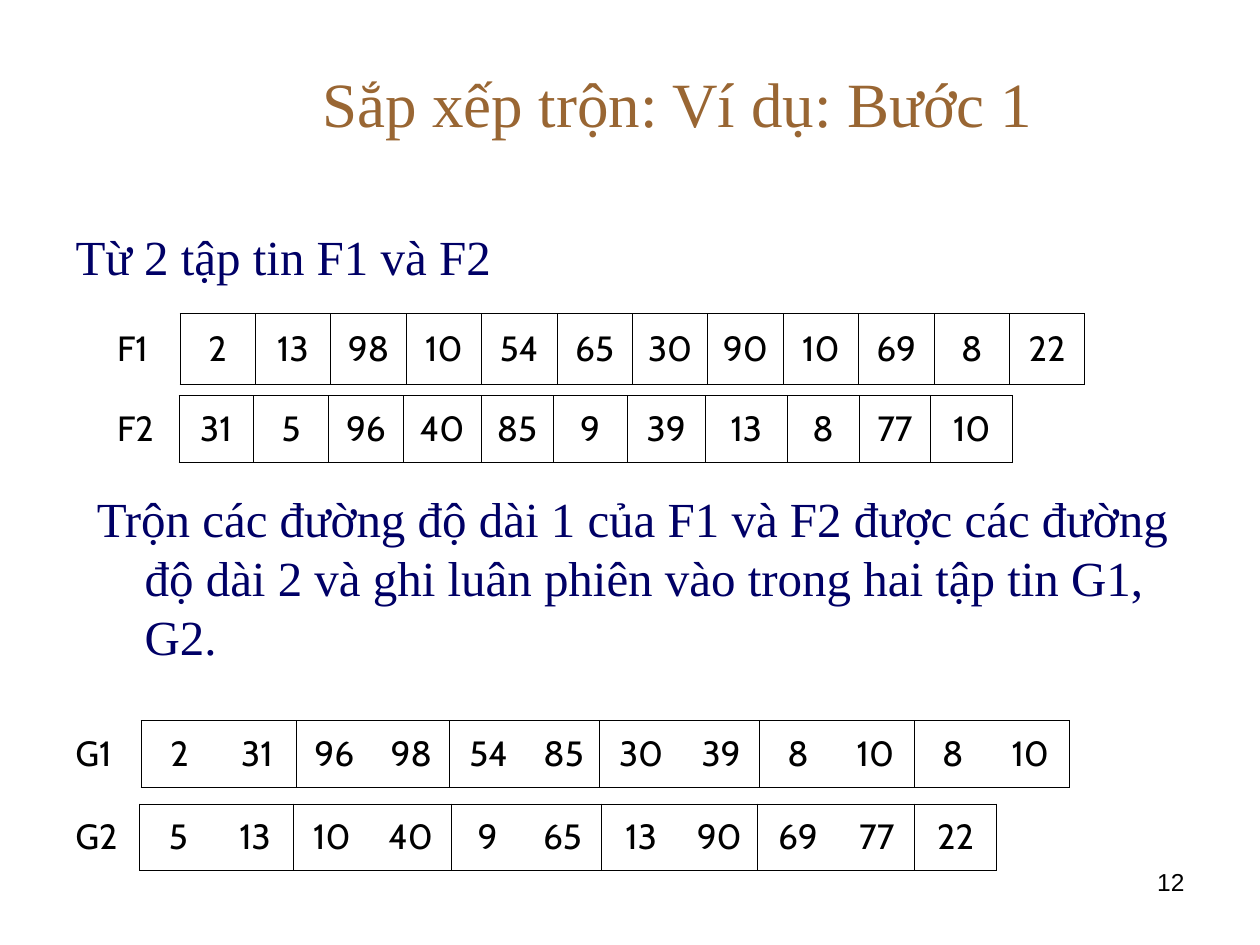
"""Build the slide showing step 1 of the merge sort example."""
from pptx import Presentation
from pptx.dml.color import RGBColor
from pptx.enum import text
from pptx.oxml import ns, xmlchemy
from pptx.util import Inches, Pt


def colour(value):
    return RGBColor.from_string(value)


class SlideBuilder:
    serif, label_font, number_font = "Times New Roman", "Cabin", "Arial"
    brown, navy, black = "996633", "000066", "000000"
    border = 0.45

    def __init__(self, deck):
        self.slide = deck.slides.add_slide(deck.slide_layouts[1])

    def set_text(self, paragraph, words, font, size, tint, align):
        paragraph.text = words
        paragraph.alignment = align
        paragraph.space_before = Pt(0)
        paragraph.font.name = font
        paragraph.font.size = Pt(size)
        paragraph.font.color.rgb = colour(tint)

    def place(self, box, left, top, width, height):
        box.left, box.top = Inches(left), Inches(top)
        box.width, box.height = Inches(width), Inches(height)
        frame = box.text_frame
        frame.word_wrap = True
        frame.auto_size = text.MSO_AUTO_SIZE.NONE
        return frame

    def text_box(self, *place):
        box = self.slide.shapes.add_textbox(0, 0, 0, 0)
        return self.place(box, *place)

    def title(self, words, *place):
        frame = self.place(self.slide.shapes.title, *place)
        frame.vertical_anchor = text.MSO_ANCHOR.MIDDLE
        self.set_text(frame.paragraphs[0], words, self.serif, 36, self.brown,
                      text.PP_ALIGN.CENTER)

    def statement(self, frame, words):
        paragraph = frame.paragraphs[0]
        properties = paragraph._p.get_or_add_pPr()
        properties.set("marL", str(Inches(0.38)))
        properties.set("indent", str(Inches(-0.38)))
        properties.append(xmlchemy.OxmlElement("a:buNone"))
        self.set_text(paragraph, words, self.serif, 28, self.navy,
                      text.PP_ALIGN.LEFT)

    def body(self, words, *place):
        self.statement(self.place(self.slide.placeholders[1], *place), words)

    def note(self, words, *place):
        self.statement(self.text_box(*place), words)

    def page_number(self, words, *place):
        paragraph = self.text_box(*place).paragraphs[0]
        self.set_text(paragraph, words, self.number_font, 14, self.black,
                      text.PP_ALIGN.RIGHT)

    def cell(self, cell, words, align, sides):
        cell.vertical_anchor = text.MSO_ANCHOR.MIDDLE
        self.set_text(cell.text_frame.paragraphs[0], words, self.label_font,
                      20, self.black, align)
        properties = cell._tc.get_or_add_tcPr()
        for side in "LRTB":
            line = xmlchemy.OxmlElement(f"a:ln{side}")
            properties.append(line)
            if side in sides:
                line.set("w", str(Pt(self.border)))
                fill = xmlchemy.OxmlElement("a:solidFill")
                tint = xmlchemy.OxmlElement("a:srgbClr")
                tint.set("val", self.black)
                fill.append(tint)
                line.append(fill)
            else:
                line.append(line.makeelement(ns.qn("a:noFill")))
        cell.fill.background()

    def file_row(self, name, runs, widths, left, top, height):
        table = self.slide.shapes.add_table(
            1, len(widths), Inches(left), Inches(top),
            Inches(sum(widths)), Inches(height)).table
        table.first_row = table.horz_banding = False
        for column, width in zip(table.columns, widths):
            column.width = Inches(width)
        self.cell(table.cell(0, 0), name, text.PP_ALIGN.JUSTIFY, "R")
        column = 1
        for run in runs:
            for place, value in enumerate(run):
                sides = "TB"
                if place == 0:
                    sides += "L"
                if place == len(run) - 1:
                    sides += "R"
                self.cell(table.cell(0, column), str(value),
                          text.PP_ALIGN.CENTER, sides)
                column += 1


def split(values, length):
    return [values[i:i + length] for i in range(0, len(values), length)]


def main():
    deck = Presentation()
    deck.slide_width, deck.slide_height = Inches(10), Inches(7.5)
    step = SlideBuilder(deck)
    step.title("Sắp xếp trộn: Ví dụ: Bước 1", 1.25, 0.3, 8.25, 1.03)
    step.body("Từ 2 tập tin F1 và F2", 0.5, 1.75, 9.17, 0.67)

    f1 = [2, 13, 98, 10, 54, 65, 30, 90, 10, 69, 8, 22]
    f2 = [31, 5, 96, 40, 85, 9, 39, 13, 8, 77, 10]
    g1 = [2, 31, 96, 98, 54, 85, 30, 39, 8, 10, 8, 10]
    g2 = [5, 13, 10, 40, 9, 65, 13, 90, 69, 77, 22]
    f1_widths = [7.78 / 13] * 13
    f2_widths = [0.59, 0.59, 0.6, 0.59, 0.62, 0.57, 0.59, 0.62, 0.65, 0.57,
                 0.57, 0.65]
    g1_widths = [0.62, 0.61, 0.62, 0.61, 0.61, 0.62, 0.57, 0.66, 0.61, 0.61,
                 0.62, 0.61, 0.62]
    g2_widths = [0.61, 0.61, 0.61, 0.61, 0.64, 0.58, 0.61, 0.64, 0.6, 0.65,
                 0.6, 0.65]
    step.file_row("F1", split(f1, 1), f1_widths, 0.83, 2.49, 0.56)
    step.file_row("F2", split(f2, 1), f2_widths, 0.83, 3.14, 0.53)
    step.file_row("G1", split(g1, 2), g1_widths, 0.5, 5.72, 0.53)
    step.file_row("G2", split(g2, 2), g2_widths, 0.5, 6.38, 0.53)

    step.note("Trộn các đường độ dài 1 của F1 và F2 được các đường độ dài 2 "
              "và ghi luân phiên vào trong hai tập tin G1, G2.",
              0.67, 3.83, 9.17, 1.33)
    step.page_number("12", 7.17, 6.83, 2.33, 0.52)
    deck.save("out.pptx")


if __name__ == "__main__":
    main()
